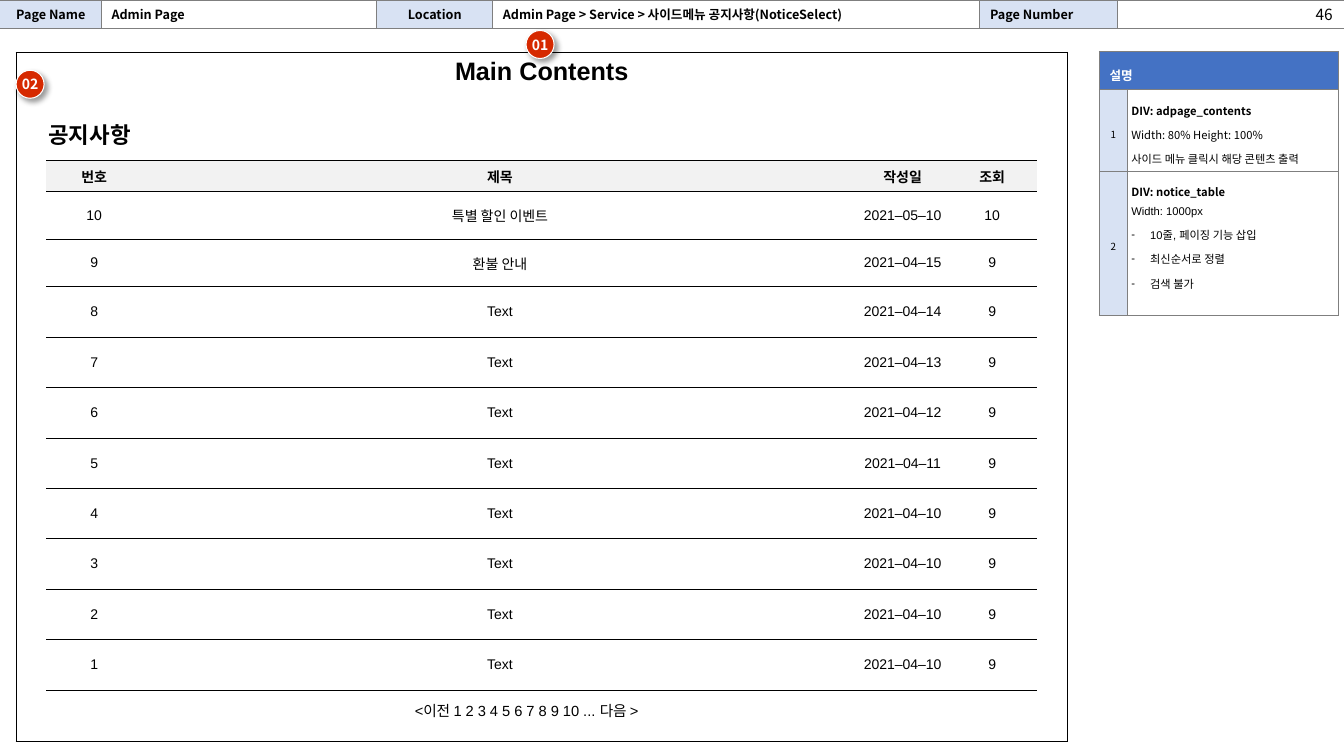
import dataclasses

import lxml.etree
import pptx
import pptx.dml.color
import pptx.enum.shapes
import pptx.enum.text
import pptx.oxml
import pptx.oxml.ns
import pptx.util

Pt = pptx.util.Pt
Align = pptx.enum.text.PP_ALIGN
Anchor = pptx.enum.text.MSO_ANCHOR
Insets = tuple[float, float, float, float]


@dataclasses.dataclass(frozen=True)
class Theme:
    sans: str = "Noto Sans CJK KR"
    arial: str = "Arial"
    black: str = "000000"
    white: str = "FFFFFF"
    grey: str = "7F7F7F"
    pale_grey: str = "F2F2F2"
    pale_blue: str = "D8E2F3"
    blue: str = "4472C4"
    red: str = "D62900"
    frame_title: float = 18
    heading: float = 16
    page_number: float = 11
    pager: float = 10.5
    body: float = 10
    label: float = 9
    note: float = 8
    index: float = 7
    line: float = 0.75


THEME = Theme()
PADDED: Insets = (7.2, 3.6, 7.2, 3.6)
FLUSH: Insets = (0, 0, 0, 0)


@dataclasses.dataclass(frozen=True)
class Line:
    text: str
    size: float
    font: str = THEME.sans
    bold: bool = False
    color: str = THEME.black
    align: Align = Align.LEFT
    spacing: float = 1.0
    bullet: bool = False


@dataclasses.dataclass(frozen=True)
class Cell:
    lines: list[Line]
    fill: str | None = None
    insets: Insets = PADDED
    anchor: Anchor = Anchor.MIDDLE


@dataclasses.dataclass(frozen=True)
class Grid:
    left: float
    top: float
    columns: list[float]
    rows: list[float]
    cells: list[list[Cell]]
    border: str = THEME.black
    sides: str = "LRTB"
    open_ends: bool = False


@dataclasses.dataclass(frozen=True)
class Badge:
    text: str
    left: float
    top: float


def rgb(color: str) -> pptx.dml.color.RGBColor:
    return pptx.dml.color.RGBColor.from_string(color)


def add_element(parent, tag: str, **attributes: str):
    return lxml.etree.SubElement(parent, pptx.oxml.ns.qn(tag), attributes)


def set_all(target, values: dict) -> None:
    for name, value in values.items():
        setattr(target, name, value)


def write_line(para, line: Line) -> None:
    set_all(para, {"alignment": line.align, "line_spacing": line.spacing})
    if line.bullet:
        properties = para._p.get_or_add_pPr()
        properties.set("marL", str(Pt(13.5)))
        properties.set("indent", str(-Pt(13.5)))
        add_element(add_element(properties, "a:buClr"), "a:srgbClr", val=line.color)
        add_element(properties, "a:buFont", typeface=line.font)
        add_element(properties, "a:buChar", char="-")
    if not line.text:
        add_element(para._p, "a:endParaRPr", sz=str(int(line.size * 100)))
        return
    span = para.add_run()
    span.text = line.text
    set_all(span.font, {"name": line.font, "size": Pt(line.size), "bold": line.bold})
    span.font.color.rgb = rgb(line.color)
    add_element(span.font._element, "a:ea", typeface=THEME.sans)


def write_lines(frame, lines: list[Line]) -> None:
    for number, line in enumerate(lines):
        write_line(frame.add_paragraph() if number else frame.paragraphs[0], line)


def set_margins(target, insets: Insets) -> None:
    names = ("margin_left", "margin_top", "margin_right", "margin_bottom")
    set_all(target, dict(zip(names, map(Pt, insets))))


def write_box(box, lines: list[Line], anchor: Anchor, insets: Insets = PADDED) -> None:
    set_margins(box.text_frame, insets)
    set_all(box.text_frame, {
        "word_wrap": True,
        "vertical_anchor": anchor,
        "auto_size": pptx.enum.text.MSO_AUTO_SIZE.NONE,
    })
    write_lines(box.text_frame, lines)


def draw_borders(cell, sides: str, color: str) -> None:
    properties = cell._tc.get_or_add_tcPr()
    for side in "LRTB":
        if side in sides:
            edge = add_element(properties, f"a:ln{side}", w=str(Pt(THEME.line)))
            add_element(add_element(edge, "a:solidFill"), "a:srgbClr", val=color)


def draw_grid(page, grid: Grid):
    width, height = sum(grid.columns), sum(grid.rows)
    table = page.shapes.add_table(
        len(grid.rows), len(grid.columns), Pt(grid.left), Pt(grid.top), Pt(width), Pt(height)
    ).table
    set_all(table, {"first_row": False, "horz_banding": False})
    style = table._tbl.tblPr.find(pptx.oxml.ns.qn("a:tableStyleId"))
    style.text = "{2D5ABB26-0587-4C30-8999-92F81FD0307C}"
    for column, size in zip(table.columns, grid.columns):
        column.width = Pt(size)
    for row, size in zip(table.rows, grid.rows):
        row.height = Pt(size)
    last = len(grid.columns) - 1
    for row_number, row in enumerate(grid.cells):
        for number, content in enumerate(row):
            cell = table.cell(row_number, number)
            hidden = ("L" if number == 0 else "") + ("R" if number == last else "")
            sides = [side for side in grid.sides if not (grid.open_ends and side in hidden)]
            draw_borders(cell, "".join(sides), grid.border)
            if content.fill:
                cell.fill.solid()
                cell.fill.fore_color.rgb = rgb(content.fill)
            else:
                cell.fill.background()
            cell.vertical_anchor = content.anchor
            set_margins(cell, content.insets)
            write_lines(cell.text_frame, content.lines)
    return table


def draw_badge(page, badge: Badge) -> None:
    oval = page.shapes.add_shape(
        pptx.enum.shapes.MSO_SHAPE.OVAL, Pt(badge.left), Pt(badge.top), Pt(20), Pt(20)
    )
    oval.shadow.inherit = False
    oval.fill.solid()
    oval.fill.fore_color.rgb = rgb(THEME.red)
    oval.line.color.rgb = rgb(THEME.white)
    oval.line.width = Pt(THEME.line)
    effects = oval._element.spPr.find(pptx.oxml.ns.qn("a:effectLst"))
    shadow = add_element(effects, "a:outerShdw", blurRad=str(Pt(4)), dist=str(Pt(3)),
                         dir="2700000", algn="tl", rotWithShape="0")
    add_element(add_element(shadow, "a:srgbClr", val=THEME.black), "a:alpha", val="40000")
    line = Line(badge.text, THEME.body, bold=True, color=THEME.white, align=Align.CENTER)
    write_box(oval, [line], Anchor.MIDDLE, FLUSH)


def header_cell(text: str, fill: str | None, align: Align = Align.LEFT) -> Cell:
    return Cell([Line(text, THEME.label, bold=True, align=align)], fill)


def notice_cell(text: str, heading: bool) -> Cell:
    line = Line(text, THEME.body, THEME.arial, heading, align=Align.CENTER)
    return Cell([line], THEME.pale_grey if heading else None, FLUSH)


def index_cell(text: str) -> Cell:
    line = Line(text, THEME.index, align=Align.CENTER, spacing=1.5)
    return Cell([line], THEME.pale_blue, (0, 3.6, 0, 3.6))


def note_cell(title: str, details: list[Line]) -> Cell:
    lines = [Line(title, THEME.note, bold=True, spacing=1.5), *details]
    return Cell(lines, THEME.white, (2.8, 2.8, 2.8, 2.8), Anchor.TOP)


def note_line(text: str, font: str = THEME.sans, bullet: bool = False) -> Line:
    return Line(text, THEME.note, font, spacing=1.5, bullet=bullet)


HEADER = Grid(0, 0, [72.5, 196.5, 83, 348, 98, 162], [20], [[
    header_cell("Page Name", THEME.pale_blue, Align.CENTER),
    header_cell("Admin Page", None),
    header_cell("Location", THEME.pale_blue, Align.CENTER),
    header_cell("Admin Page > Service > 사이드메뉴 공지사항(NoticeSelect)", THEME.white),
    header_cell("Page Number", THEME.pale_blue),
    header_cell("", THEME.white),
]], THEME.grey, open_ends=True)

DESCRIPTION_TITLE = Cell(
    [Line("설명", THEME.label, bold=True, color=THEME.white, spacing=1.5)], THEME.blue)
BULLETS = ["10줄, 페이징 기능 삽입", "최신순서로 정렬", "검색 불가"]
DESCRIPTION = Grid(785.3, 36.7, [20, 151], [27.5, 57.5, 103], [
    [DESCRIPTION_TITLE],
    [index_cell("1"), note_cell("DIV: adpage_contents", [
        note_line("Width: 80% Height: 100%"), note_line("사이드 메뉴 클릭시 해당 콘텐츠 출력")])],
    [index_cell("2"), note_cell("DIV: notice_table", [
        note_line("Width: 1000px", THEME.arial),
        *(note_line(text, THEME.arial, True) for text in BULLETS)])],
], THEME.grey)

FRAME = Grid(11.5, 37.4, [751], [492], [[Cell(
    [Line("Main Contents", THEME.frame_title, THEME.arial, True, align=Align.CENTER)],
    anchor=Anchor.TOP)]])
PAGER = Grid(246.2, 496, [260], [20], [[Cell([Line(
    "<이전 1 2 3 4 5 6 7 8 9 10 ... 다음 >", THEME.pager, THEME.arial, align=Align.CENTER)])]],
    sides="")

TITLES = ["특별 할인 이벤트", "환불 안내"] + ["Text"] * 8
DAYS = [10, 15, 14, 13, 12, 11, 10, 10, 10, 10]
NOTICES = [["번호", "제목", "작성일", "조회"]] + [
    [str(10 - number), title, f"2021–{4 if number else 5:02}–{day}", "9" if number else "10"]
    for number, (title, day) in enumerate(zip(TITLES, DAYS))
]
NOTICE_TABLE = Grid(33.1, 114.5, [68.4, 511.2, 64, 64], [22.5, 34, 34] + [36] * 8, [
    [notice_cell(text, number == 0) for text in row] for number, row in enumerate(NOTICES)
], sides="TB")

BADGES = [Badge("02", 11.5, 50.2), Badge("01", 375.8, 21.8)]


def main() -> None:
    deck = pptx.Presentation()
    set_all(deck, {"slide_width": Pt(960), "slide_height": Pt(540)})
    page = deck.slides.add_slide(deck.slide_layouts[5])
    draw_grid(page, HEADER)
    number = page.shapes.add_textbox(Pt(797), Pt(0), Pt(162), Pt(18))
    write_box(number, [Line("46", THEME.page_number, align=Align.RIGHT)], Anchor.TOP)
    description = draw_grid(page, DESCRIPTION)
    description.cell(0, 0).merge(description.cell(0, 1))
    draw_grid(page, FRAME)
    for badge in BADGES:
        draw_badge(page, badge)
    draw_grid(page, PAGER)
    draw_grid(page, NOTICE_TABLE)
    title = page.shapes.title
    set_all(title, {"left": Pt(27.4), "top": Pt(82.8), "width": Pt(480), "height": Pt(26.6)})
    write_box(title, [Line("공지사항", THEME.heading, bold=True)], Anchor.TOP)
    deck.save("out.pptx")


if __name__ == "__main__":
    main()
